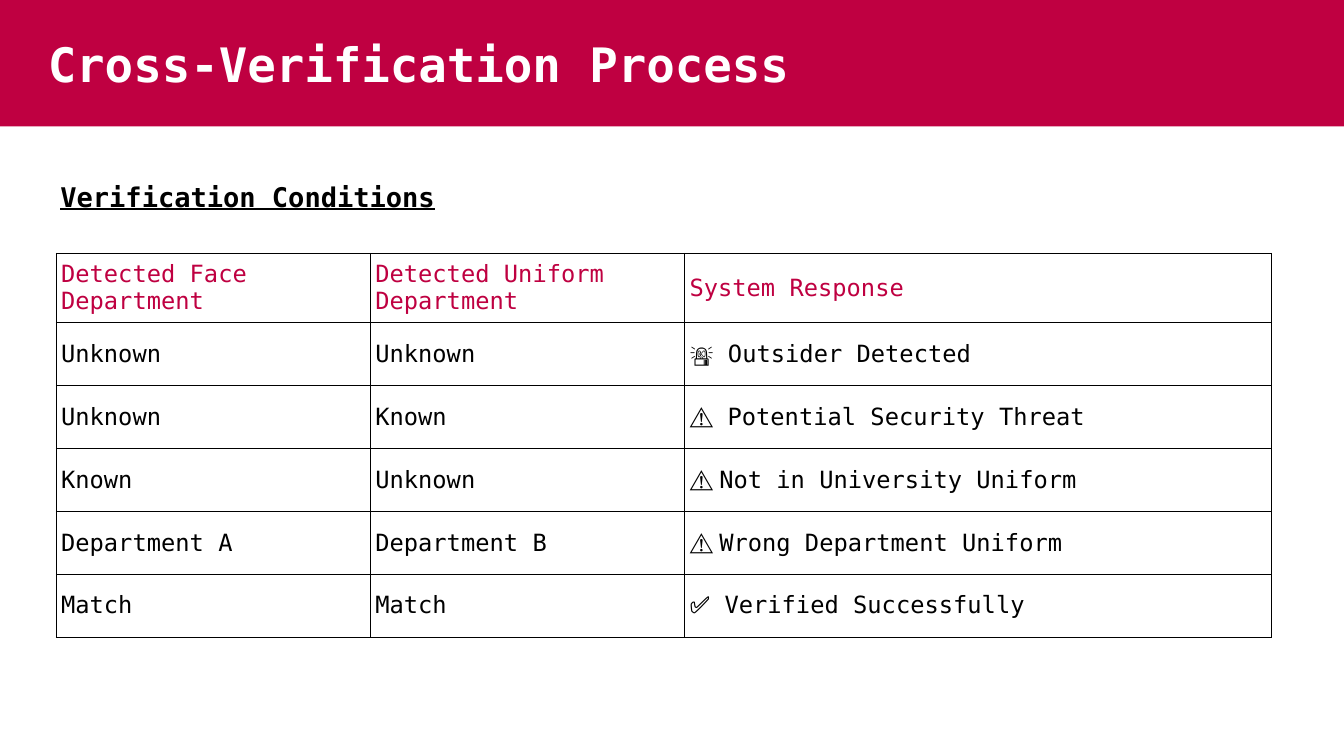
import pptx
import pptx.util
import pptx.dml.color
import pptx.enum.shapes
import pptx.enum.text
import pptx.oxml
import pptx.oxml.ns

Pt = pptx.util.Pt
MIDDLE = pptx.enum.text.MSO_ANCHOR.MIDDLE
MONO = "DejaVu Sans Mono"
SERIF = "Times New Roman"
COLORS = {"red": "BF0041", "white": "FFFFFF", "black": "000000"}
WIDE, HIGH = 793.44, 446.4

HEAD = ["Detected Face Department", "Detected Uniform Department", "System Response"]
ROWS = [
    ["Unknown", "Unknown", "🚨 Outsider Detected"],
    ["Unknown", "Known", [("⚠️", SERIF), (" Potential Security Threat", MONO)]],
    ["Known", "Unknown", [("⚠️ ", SERIF), ("Not in University Uniform", MONO)]],
    ["Department A", "Department B", [("⚠️ ", SERIF), ("Wrong Department Uniform", MONO)]],
    ["Match", "Match", "✅ Verified Successfully"],
]


def color(key):
    return pptx.dml.color.RGBColor.from_string(COLORS[key])


def add_run(para, text, size, key, face=MONO, bold=False, under=False):
    run = para.add_run()
    run.text = text
    font = run.font
    font.name, font.size = face, Pt(size)
    font.bold, font.underline = bold, under
    font.color.rgb = color(key)


def set_frame(frame, left, top):
    frame.word_wrap = True
    frame.vertical_anchor = MIDDLE
    frame.margin_left = frame.margin_right = Pt(left)
    frame.margin_top = frame.margin_bottom = Pt(top)
    return frame.paragraphs[0]


def add_title(slide, left, top, width, height):
    bar = slide.shapes.add_shape(
        pptx.enum.shapes.MSO_SHAPE.RECTANGLE,
        Pt(left), Pt(top), Pt(width), Pt(height))
    bar.shadow.inherit = False
    bar.fill.solid()
    bar.fill.fore_color.rgb = color("red")
    bar.line.fill.background()
    para = set_frame(bar.text_frame, 28.2, 0)
    para.alignment = pptx.enum.text.PP_ALIGN.LEFT
    add_run(para, "Cross-Verification Process", 28, "white", bold=True)


def add_label(slide, left, top, width, height):
    box = slide.shapes.add_textbox(Pt(left), Pt(top), Pt(width), Pt(height))
    para = set_frame(box.text_frame, 7.2, 3.6)
    add_run(para, "Verification Conditions", 16, "black", bold=True, under=True)


def add_edges(cell):
    props = cell._tc.get_or_add_tcPr()
    space = pptx.oxml.ns.nsdecls("a")
    for spot, side in enumerate("LRTB"):
        props.insert(spot, pptx.oxml.parse_xml(
            f'<a:ln{side} {space} w="{Pt(0.57)}"><a:solidFill>'
            f'<a:srgbClr val="{COLORS["black"]}"/></a:solidFill></a:ln{side}>'))


def fill_cell(cell, text, key):
    cell.fill.background()
    add_edges(cell)
    cell.vertical_anchor = MIDDLE
    cell.margin_left = cell.margin_right = Pt(2.8)
    cell.margin_top = cell.margin_bottom = Pt(3.6)
    runs = [(text, MONO)] if isinstance(text, str) else text
    for part, face in runs:
        add_run(cell.text_frame.paragraphs[0], part, 14, key, face)


def add_grid(slide, left, top, width, height):
    data = [HEAD] + ROWS
    grid = slide.shapes.add_table(
        len(data), len(HEAD), Pt(left), Pt(top), Pt(width), Pt(height)).table
    grid.first_row = grid.horz_banding = False
    narrow = 185.5
    for col, size in zip(grid.columns, [narrow, narrow, width - 2 * narrow]):
        col.width = Pt(size)
    first = 40.5
    for num, row in enumerate(grid.rows):
        row.height = Pt((height - first) / len(ROWS) if num else first)
        for cell, text in zip(row.cells, data[num]):
            fill_cell(cell, text, "black" if num else "red")


def main():
    deck = pptx.Presentation()
    deck.slide_width, deck.slide_height = Pt(WIDE), Pt(HIGH)
    slide = deck.slides.add_slide(deck.slide_layouts[6])
    add_title(slide, 0, 0, WIDE, 74.6)
    add_label(slide, 28.6, 97.2, 286, 38.2)
    add_grid(slide, 33.3, 149.5, 717.3, 226.5)
    deck.save("out.pptx")


if __name__ == "__main__":
    main()
